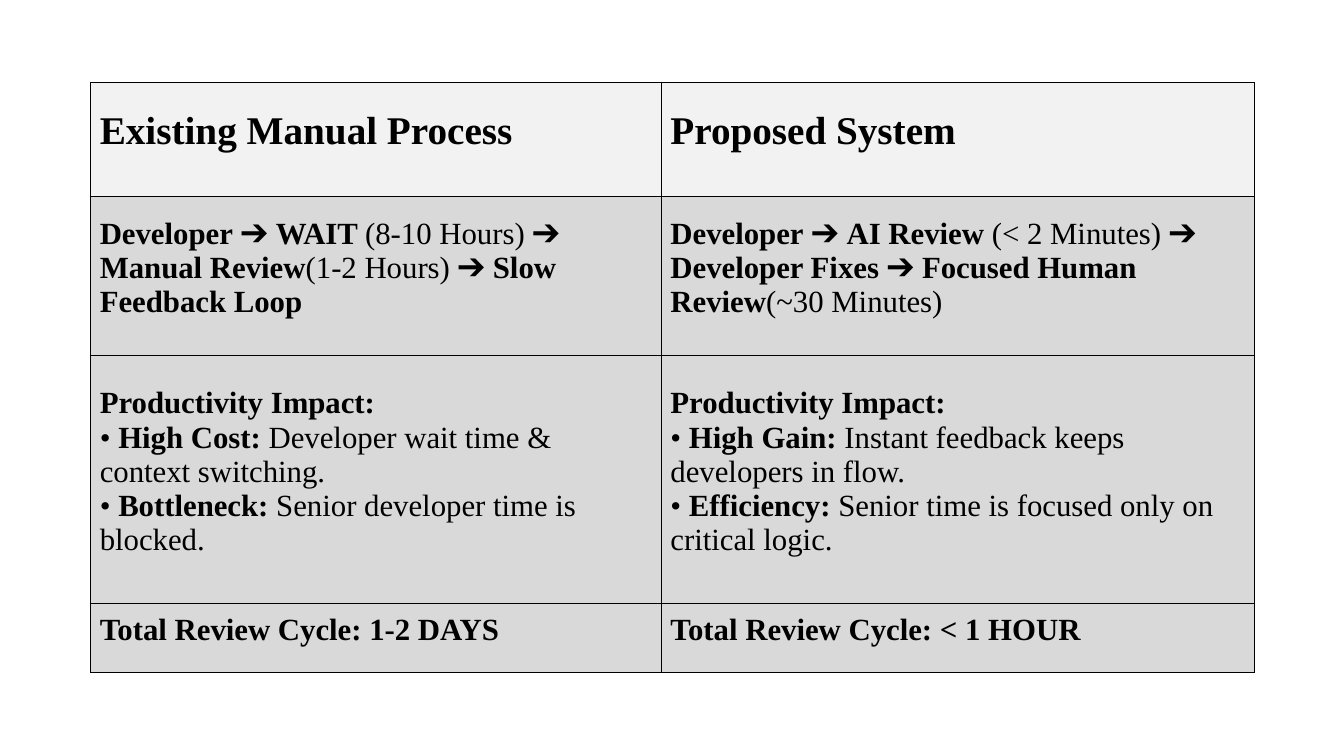
from lxml.etree import SubElement
from pptx import Presentation
from pptx.dml.color import RGBColor
from pptx.enum.text import MSO_ANCHOR
from pptx.oxml import parse_xml
from pptx.oxml.ns import nsdecls
from pptx.util import Pt

PX = 9144  # EMU per px, 100 px to the inch
THEME = {
    "font": "Times New Roman",
    "ink": "000000",
    "header_fill": "F2F2F2",
    "body_fill": "D9D9D9",
    "header_size": 28,
    "body_size": 22,
}
COLUMN_WIDTHS = [566, 588]
ROW_HEIGHTS = [113, 158, 246, 68]

# Each cell is a list of paragraphs; ** switches bold on and off.
COMPARISON = [
    [["**Existing Manual Process**"], ["**Proposed System**"]],
    [
        ["**Developer** ➔ **WAIT **(8-10 Hours) ➔ **Manual Review**(1-2 Hours) ➔ "
         "**Slow Feedback Loop**"],
        ["**Developer** ➔ **AI Review **(< 2 Minutes) ➔ **Developer Fixes** ➔ "
         "**Focused Human Review**(~30 Minutes)"],
    ],
    [
        ["**Productivity Impact:**",
         "• **High Cost:** Developer wait time & context switching.",
         "• **Bottleneck:** Senior developer time is blocked."],
        ["**Productivity Impact:**",
         "• **High Gain:** Instant feedback keeps developers in flow.",
         "• **Efficiency:** Senior time is focused only on critical logic."],
    ],
    [["**Total Review Cycle: 1-2 DAYS**"], ["**Total Review Cycle: < 1 HOUR**"]],
]


def write_cell(cell, lines, size):
    """Fill a cell with paragraphs, reading ** as a bold switch."""
    frame = cell.text_frame
    frame.text = "\n".join(line.replace("**", "") for line in lines)
    for para, line in zip(frame.paragraphs, lines):
        para.clear()
        for index, words in enumerate(line.split("**")):
            if not words:
                continue
            span = para.add_run()
            span.text = words
            span.font.name = THEME["font"]
            span.font.size = Pt(size)
            span.font.bold = index % 2 == 1
            span.font.color.rgb = RGBColor.from_string(THEME["ink"])


def outline_cell(cell):
    properties = cell._tc.get_or_add_tcPr()
    for position, side in enumerate("LRTB"):
        border = parse_xml(f'<a:ln{side} {nsdecls("a")} w="{Pt(1)}"/>')
        fill = SubElement(border, "{http://schemas.openxmlformats.org/drawingml/2006/main}solidFill")
        fill.append(parse_xml(f'<a:srgbClr {nsdecls("a")} val="{THEME["ink"]}"/>'))
        properties.insert(position, border)


deck = Presentation()
deck.slide_width = 1333 * PX
deck.slide_height = 750 * PX
page = deck.slides.add_slide(deck.slide_layouts[6])

table = page.shapes.add_table(
    len(ROW_HEIGHTS), len(COLUMN_WIDTHS), 90 * PX, 82 * PX,
    sum(COLUMN_WIDTHS) * PX, sum(ROW_HEIGHTS) * PX,
).table
table.first_row = False
table.horz_banding = False
for column, width in zip(table.columns, COLUMN_WIDTHS):
    column.width = width * PX
for row, height in zip(table.rows, ROW_HEIGHTS):
    row.height = height * PX

for row_index, row_texts in enumerate(COMPARISON):
    kind = "header" if row_index == 0 else "body"
    for column_index, lines in enumerate(row_texts):
        cell = table.cell(row_index, column_index)
        cell.vertical_anchor = MSO_ANCHOR.MIDDLE
        cell.margin_left, cell.margin_top = 9 * PX, 3 * PX
        cell.margin_right, cell.margin_bottom = 13 * PX, 19 * PX
        cell.fill.solid()
        cell.fill.fore_color.rgb = RGBColor.from_string(THEME[f"{kind}_fill"])
        write_cell(cell, lines, THEME[f"{kind}_size"])
        outline_cell(cell)

deck.save("out.pptx")
